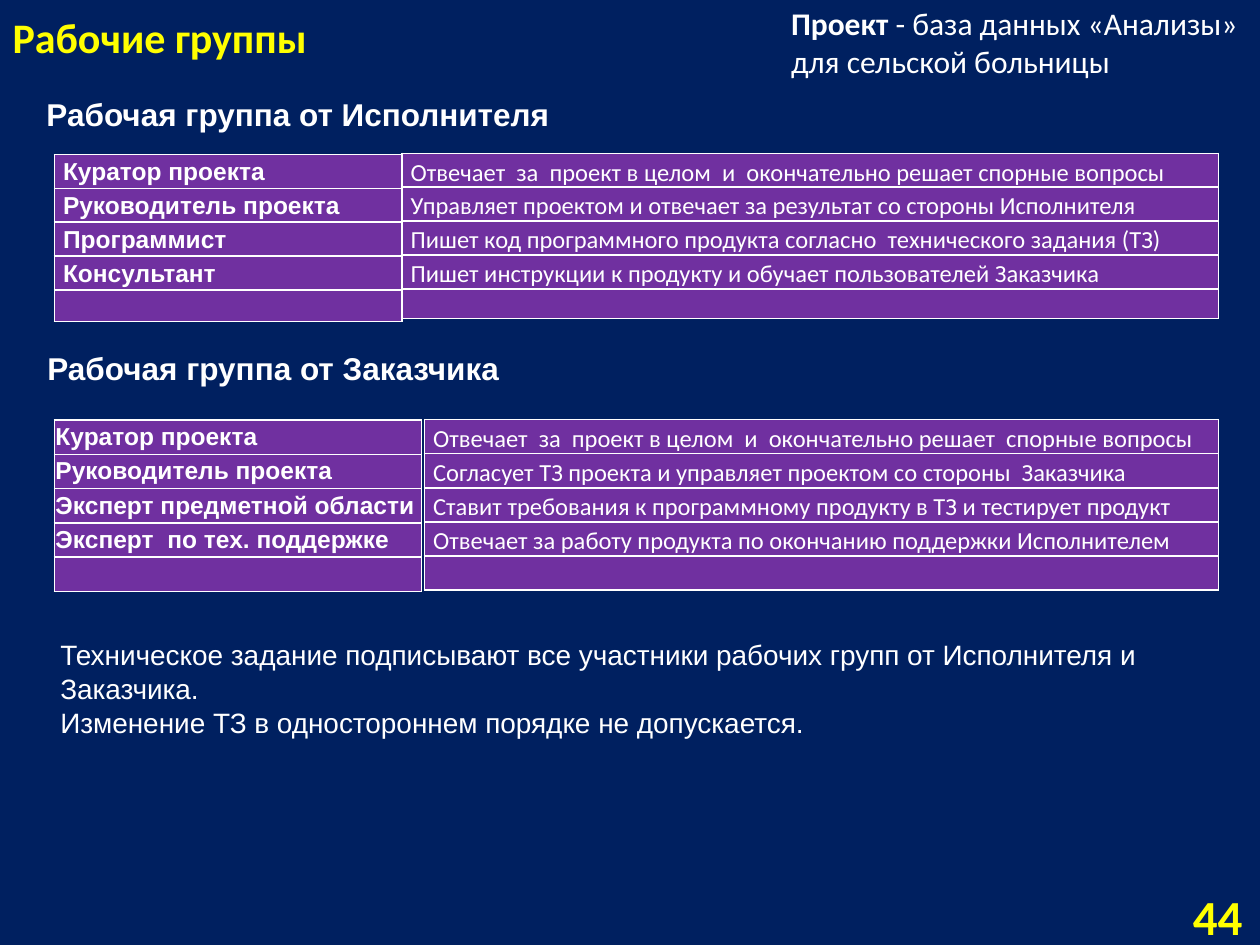
from dataclasses import dataclass

from lxml.etree import SubElement
from pptx import Presentation
from pptx.dml.color import RGBColor
from pptx.enum.shapes import MSO_SHAPE
from pptx.enum.text import MSO_ANCHOR, PP_ALIGN
from pptx.oxml.ns import qn
from pptx.util import Pt


@dataclass(frozen=True)
class Theme:
    background: str = "002060"
    cell: str = "7030A0"
    text: str = "FFFFFF"
    accent: str = "FFFF00"
    heading_font: str = "Arial"
    body_font: str = "Calibri"
    number_size: int = 28
    title_size: int = 24
    heading_size: int = 18
    note_size: int = 16
    table_size: int = 14


THEME = Theme()

TITLE = "Рабочие группы"
PROJECT = [("Проект", True), (" - база данных «Анализы» для сельской больницы", False)]
PAGE_NUMBER = "44"
NOTES = [
    "Техническое задание подписывают все участники рабочих групп от Исполнителя и Заказчика.",
    "Изменение ТЗ в одностороннем порядке не допускается.",
]

# Each table ends with an empty row. Row heights: regular rows, then the last one.
ROLE_STYLE = {"font": THEME.heading_font, "bold": True}
DUTY_STYLE = {"font": THEME.body_font, "bold": False, "spacing": 1.15}
GROUPS = [
    {
        "heading": "Рабочая группа от Исполнителя",
        "heading_place": (19.5, 51, 385, 29),
        "roles": ["Куратор проекта", "Руководитель проекта", "Программист", "Консультант", ""],
        "roles_place": (31, 88.3, 198.7),
        "roles_style": {**ROLE_STYLE, "rows": (18.1, 18.1), "spacing": 1.15},
        "duties": [
            "Отвечает  за  проект в целом  и  окончательно решает спорные вопросы",
            "Управляет проектом и отвечает за результат со стороны Исполнителя",
            "Пишет код программного продукта согласно  технического задания (ТЗ)",
            "Пишет инструкции к продукту и обучает пользователей Заказчика",
            "",
        ],
        "duties_place": (229.7, 87.6, 466.5),
        "duties_style": {**DUTY_STYLE, "rows": (19.4, 16.8)},
    },
    {
        "heading": "Рабочая группа от Заказчика",
        "heading_place": (20, 195.8, 346, 29),
        "roles": [
            "Куратор проекта",
            "Руководитель проекта",
            "Эксперт предметной области",
            "Эксперт  по тех. поддержке",
            "",
        ],
        "roles_place": (31, 240, 209.8),
        "roles_style": {**ROLE_STYLE, "rows": (19.6, 19.6), "inset": 0.7,
                        "anchor": MSO_ANCHOR.MIDDLE},
        "duties": [
            "Отвечает  за  проект в целом  и  окончательно решает  спорные вопросы",
            "Согласует ТЗ проекта и управляет проектом со стороны  Заказчика",
            "Ставит требования к программному продукту в ТЗ и тестирует продукт",
            "Отвечает за работу продукта по окончанию поддержки Исполнителем",
            "",
        ],
        "duties_place": (242.5, 239.8, 453.7),
        "duties_style": {**DUTY_STYLE, "rows": (19.5, 19.5)},
    },
]


def color(value):
    return RGBColor.from_string(value)


def points(values):
    return [Pt(value) for value in values]


def format_span(span, font, size, bold=False, ink=THEME.text):
    span.font.name = font
    span.font.size = Pt(size)
    span.font.bold = bold
    span.font.color.rgb = color(ink)


def format_text(frame, *style, **options):
    frame.word_wrap = True
    for para in frame.paragraphs:
        for span in para.runs:
            format_span(span, *style, **options)


def add_text(page, place, lines, *style, **options):
    box = page.shapes.add_textbox(*points(place))
    box.text_frame.text = "\n".join(lines)
    format_text(box.text_frame, *style, **options)


def add_borders(cell):
    properties = cell._tc.get_or_add_tcPr()
    for position, side in enumerate(("lnL", "lnR", "lnT", "lnB")):
        line = SubElement(properties, qn(f"a:{side}"), w=str(Pt(1)))
        fill = SubElement(line, qn("a:solidFill"))
        SubElement(fill, qn("a:srgbClr"), val=THEME.text)
        properties.insert(position, line)


def add_column(page, place, lines, font, bold, rows, spacing=1.0, inset=5,
               anchor=MSO_ANCHOR.TOP):
    """Add a one-column table with a line of text in each row."""
    left, top, width = place
    regular, last = rows
    heights = [regular] * (len(lines) - 1) + [last]
    frame = page.shapes.add_table(len(lines), 1, *points((left, top, width, sum(heights))))
    table = frame.table
    table.first_row = table.horz_banding = False
    for row, height, line in zip(table.rows, heights, lines):
        row.height = Pt(height)
        cell = row.cells[0]
        cell.margin_left = cell.margin_right = Pt(inset)
        cell.margin_top = cell.margin_bottom = 0
        cell.vertical_anchor = anchor
        cell.fill.solid()
        cell.fill.fore_color.rgb = color(THEME.cell)
        add_borders(cell)
        para = cell.text_frame.paragraphs[0]
        if line:
            para.line_spacing = spacing
            format_span(para.add_run(), font, THEME.table_size, bold)
            para.runs[0].text = line
        else:
            # Keeps the empty row from growing to the default type size.
            SubElement(para._p, qn("a:endParaRPr"), sz="1000")


def add_title(page):
    title = page.shapes.title
    title.left, title.top, title.width, title.height = points((0, 0, 196, 39))
    title.text_frame.text = TITLE
    title.text_frame.vertical_anchor = MSO_ANCHOR.BOTTOM
    title.text_frame.paragraphs[0].alignment = PP_ALIGN.LEFT
    format_text(title.text_frame, THEME.body_font, THEME.title_size, True, THEME.accent)


def add_project(page):
    box = page.shapes.add_textbox(*points((445, -1.4, 297, 51)))
    box.text_frame.word_wrap = True
    for text, bold in PROJECT:
        span = box.text_frame.paragraphs[0].add_run()
        span.text = text
        format_span(span, THEME.body_font, THEME.heading_size, bold)


def add_page_number(page):
    shape = page.shapes.add_shape(MSO_SHAPE.RECTANGLE, *points((643.7, 509, 73.4, 29)))
    shape.shadow.inherit = False
    shape.fill.solid()
    shape.fill.fore_color.rgb = color(THEME.background)
    shape.line.fill.background()
    shape.text_frame.text = PAGE_NUMBER
    shape.text_frame.vertical_anchor = MSO_ANCHOR.MIDDLE
    shape.text_frame.paragraphs[0].alignment = PP_ALIGN.RIGHT
    format_text(shape.text_frame, THEME.body_font, THEME.number_size, True, THEME.accent)


def main():
    deck = Presentation()
    deck.slide_width, deck.slide_height = points((720, 540))
    page = deck.slides.add_slide(deck.slide_layouts[5])
    page.background.fill.solid()
    page.background.fill.fore_color.rgb = color(THEME.background)

    add_title(page)
    add_project(page)
    for group in GROUPS:
        add_text(page, group["heading_place"], [group["heading"]],
                 THEME.heading_font, THEME.heading_size, True)
        for part in ("roles", "duties"):
            add_column(page, group[f"{part}_place"], group[part], **group[f"{part}_style"])
    add_text(page, (27.4, 361, 678, 65.5), NOTES, THEME.heading_font, THEME.note_size)
    add_page_number(page)
    deck.save("out.pptx")


if __name__ == "__main__":
    main()
